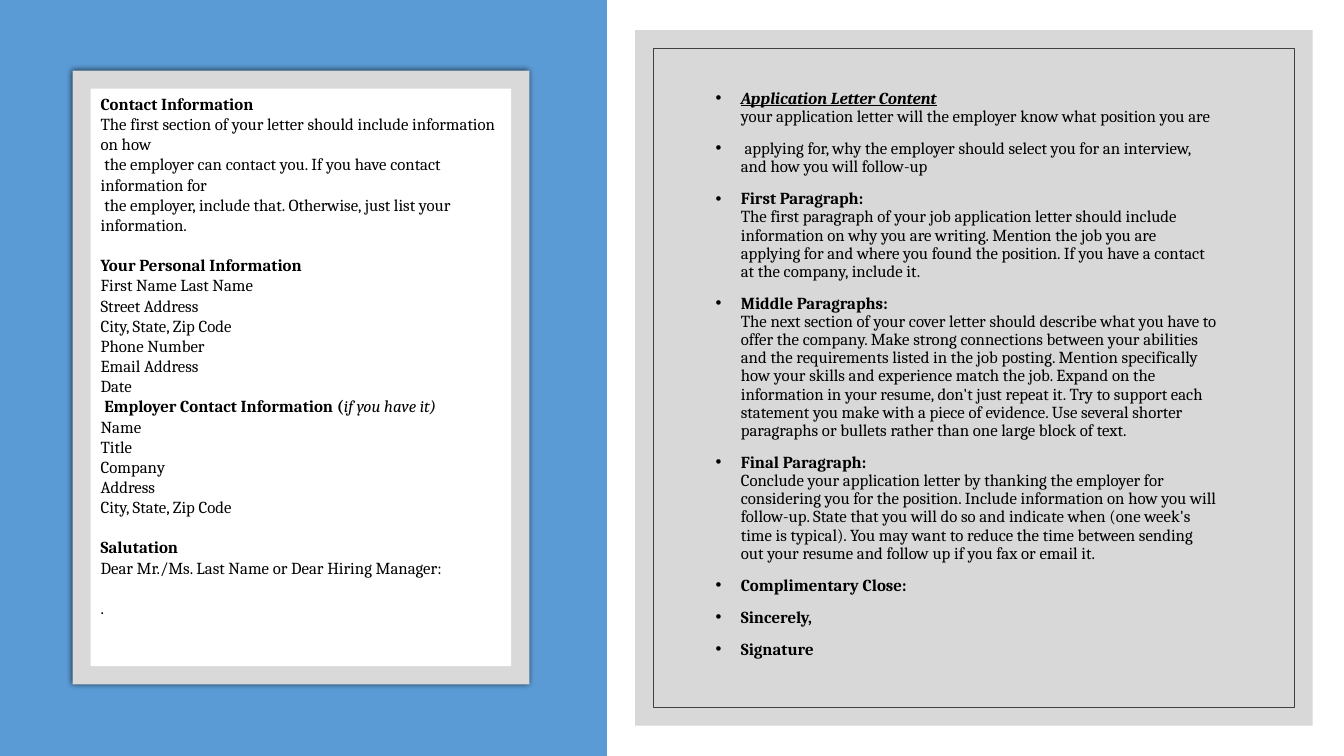
from dataclasses import dataclass

import pptx
import pptx.dml.color
import pptx.enum.shapes
import pptx.enum.text
import pptx.oxml.ns
import pptx.util
from lxml import etree

Inches, Pt = pptx.util.Inches, pptx.util.Pt
qn = pptx.oxml.ns.qn

COLORS = {
    "blue": "5B9BD5",
    "frame": "D9D9D9",
    "white": "FFFFFF",
    "panel": "BFBFBF",
    "border": "404040",
    "black": "000000",
}
FONT = "Cambria"
SIZE = 12
LINE_GAP = 14.4


@dataclass
class Box:
    left: float
    top: float
    width: float
    height: float
    fill: str = ""
    line: str = ""
    alpha: int = 100
    shadow: bool = False


@dataclass
class Para:
    text: str  # "\v" breaks the line and starts the next run
    styles: tuple[str, ...] = ("",)  # one per run, the last one repeats
    before: float = 0
    ending: str = ""  # italic words that finish the line


BOXES = [
    Box(0, 0, 6.02, 7.5, fill="blue"),
    Box(0.72, 0.7, 4.53, 6.09, fill="frame", shadow=True),
    Box(0.9, 0.88, 4.17, 5.73, fill="white"),
    Box(6.3, 0.3, 6.72, 6.9, fill="panel", alpha=60),
    Box(6.48, 0.48, 6.36, 6.54, line="border"),
]

HEADED = ("b", "")

CONTACT = [
    Para("Contact Information", ("b",)),
    Para("The first section of your letter should include information on how"),
    Para(" the employer can contact you. If you have contact information for"),
    Para(" the employer, include that. Otherwise, just list your information."),
    Para("Your Personal Information", ("b",), LINE_GAP),
    Para("First Name Last Name\vStreet Address\vCity, State, Zip Code\v"
         "Phone Number\vEmail Address"),
    Para("Date"),
    Para(" Employer Contact Information (", ("b",), ending="if you have it)"),
    Para("Name\vTitle\vCompany\vAddress\vCity, State, Zip Code"),
    Para("Salutation\vDear Mr./Ms. Last Name or Dear Hiring Manager:",
         HEADED, LINE_GAP),
    Para(".", before=LINE_GAP),
]

CONTENT = [
    Para("Application Letter Content\vyour application letter will the employer "
         "know what position you are", ("biu", "")),
    Para(" applying for, why the employer should select you for an interview, "
         "and how you will follow-up", before=10),
    Para("First Paragraph:\vThe first paragraph of your job application letter "
         "should include information on why you are writing. Mention the job you "
         "are applying for and where you found the position. If you have a "
         "contact at the company, include it.", HEADED, 10),
    Para("Middle Paragraphs:\vThe next section of your cover letter should "
         "describe what you have to offer the company. Make strong connections "
         "between your abilities and the requirements listed in the job posting. "
         "Mention specifically how your skills and experience match the job. "
         "Expand on the information in your resume, don't just repeat it. Try to "
         "support each statement you make with a piece of evidence. Use several "
         "shorter paragraphs or bullets rather than one large block of text.",
         HEADED, 10),
    Para("Final Paragraph:\vConclude your application letter by thanking the "
         "employer for considering you for the position. Include information on "
         "how you will follow-up. State that you will do so and indicate when "
         "(one week's time is typical). You may want to reduce the time between "
         "sending out your resume and follow up if you fax or email it.",
         HEADED, 10),
    Para("Complimentary Close:", ("b",), 10),
    Para("Sincerely,", ("b",), 10),
    Para("Signature", ("b",), 10),
]


def rgb(name: str) -> pptx.dml.color.RGBColor:
    return pptx.dml.color.RGBColor.from_string(COLORS[name])


def add_box(s, box: Box) -> None:
    sp = s.shapes.add_shape(
        pptx.enum.shapes.MSO_SHAPE.RECTANGLE, Inches(box.left), Inches(box.top),
        Inches(box.width), Inches(box.height))
    sp.shadow.inherit = False
    if box.fill:
        sp.fill.solid()
        sp.fill.fore_color.rgb = rgb(box.fill)
    else:
        sp.fill.background()
    if box.line:
        sp.line.color.rgb = rgb(box.line)
        sp.line.width = Pt(0.5)
    else:
        sp.line.fill.background()
    pr = sp._element.spPr
    if box.alpha < 100:
        clr = pr.find(qn("a:solidFill")).find(qn("a:srgbClr"))
        etree.SubElement(clr, qn("a:alpha"), val=str(box.alpha * 1000))
    if box.shadow:
        outer = etree.SubElement(pr.find(qn("a:effectLst")), qn("a:outerShdw"),
                                 blurRad=str(Pt(4)), dist="0", dir="0")
        clr = etree.SubElement(outer, qn("a:srgbClr"), val=COLORS["black"])
        etree.SubElement(clr, qn("a:alpha"), val="66000")


def add_bullet(p) -> None:
    pPr = p._p.get_or_add_pPr()
    pPr.set("marL", str(Inches(0.25)))
    pPr.set("indent", str(-Inches(0.25)))
    etree.SubElement(pPr, qn("a:buFont"), typeface="Arial")
    etree.SubElement(pPr, qn("a:buChar"), char="•")


def format_run(r, style: str) -> None:
    r.font.name = FONT
    r.font.size = Pt(SIZE)
    r.font.color.rgb = rgb("black")
    r.font.bold = "b" in style
    r.font.italic = "i" in style
    r.font.underline = "u" in style


def add_text(s, box: Box, paras: list[Para], bullets: bool = False):
    sp = s.shapes.add_textbox(Inches(box.left), Inches(box.top),
                              Inches(box.width), Inches(box.height))
    tf = sp.text_frame
    tf.word_wrap = True
    for i, para in enumerate(paras):
        p = tf.add_paragraph() if i else tf.paragraphs[0]
        p.text = para.text
        if bullets:
            add_bullet(p)
            p.line_spacing = 0.9
        p.space_before = Pt(para.before)
        for n, r in enumerate(p.runs):
            format_run(r, para.styles[min(n, len(para.styles) - 1)])
        for br in p._p.findall(qn("a:br")):
            rPr = etree.SubElement(br, qn("a:rPr"), sz=str(SIZE * 100))
            etree.SubElement(rPr, qn("a:latin"), typeface=FONT)
        if para.ending:
            r = p.add_run()
            r.text = para.ending
            format_run(r, "i")
    return tf


def main() -> None:
    prs = pptx.Presentation()
    prs.slide_width, prs.slide_height = Inches(13.33), Inches(7.5)
    s = prs.slides.add_slide(prs.slide_layouts[6])

    # Background panels and frames
    for box in BOXES:
        add_box(s, box)

    # Letter content on the right, centred slightly above the middle
    tf = add_text(s, Box(7, 0.58, 5.17, 6.34), CONTENT, bullets=True)
    tf.vertical_anchor = pptx.enum.text.MSO_ANCHOR.MIDDLE
    tf.margin_top, tf.margin_bottom = Inches(0.19), Inches(0.26)

    # Contact details on the left card
    add_text(s, Box(0.9, 0.88, 4.17, 5.55), CONTACT)

    prs.save("out.pptx")


if __name__ == "__main__":
    main()
